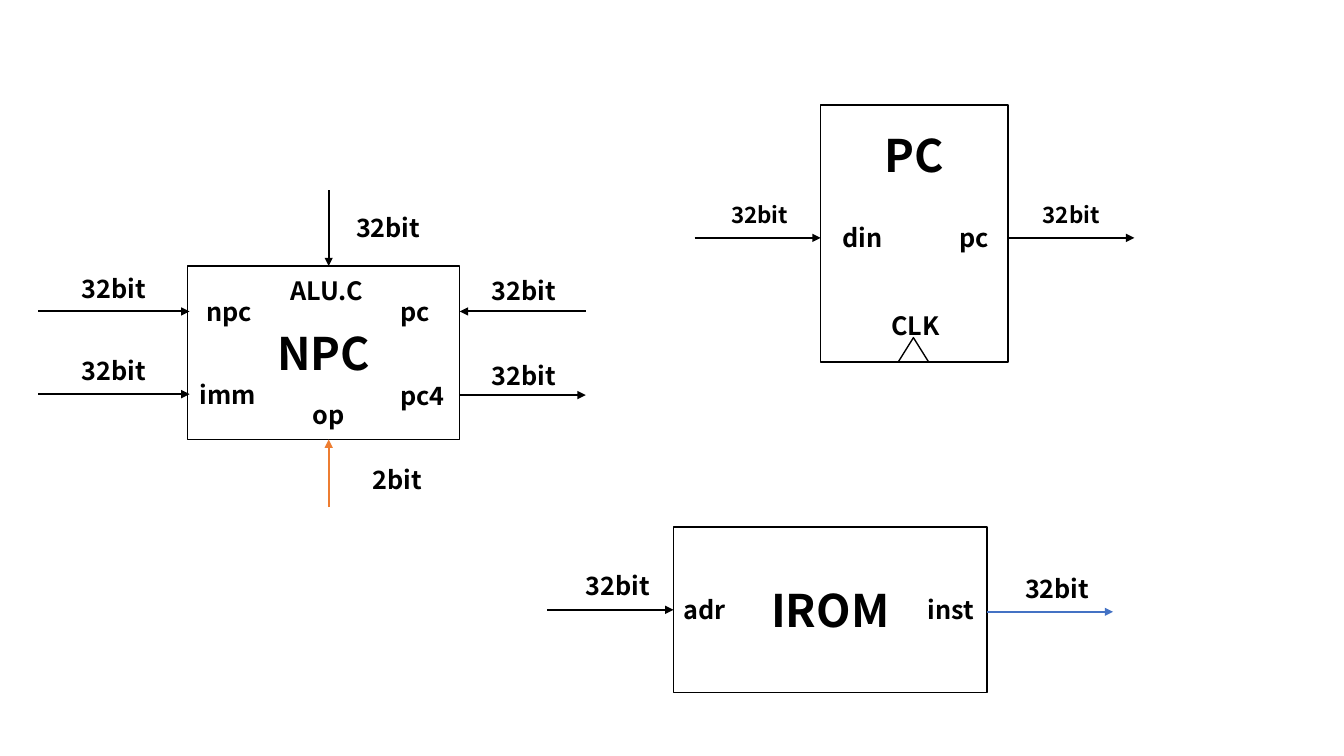
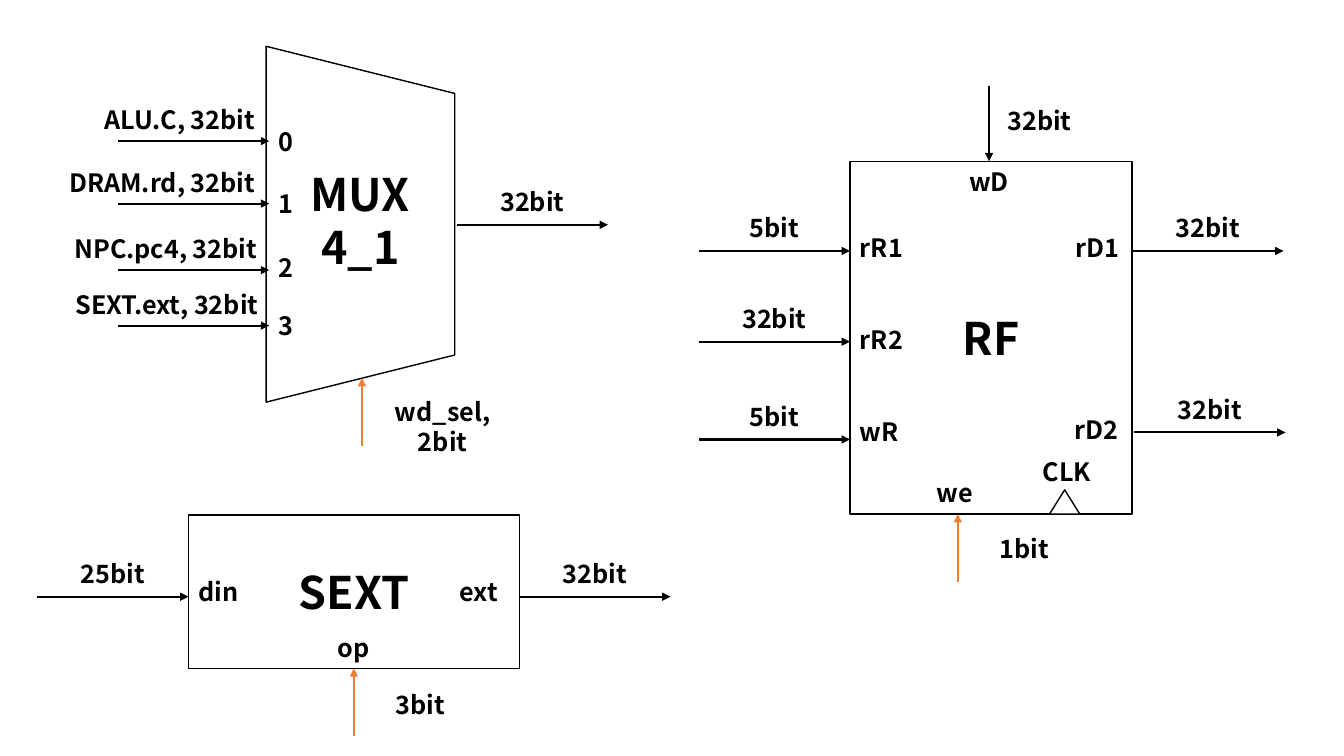
from dataclasses import dataclass

from pptx import Presentation
from pptx.dml.color import RGBColor
from pptx.enum.shapes import MSO_CONNECTOR as Link, MSO_SHAPE as Form
from pptx.enum.text import MSO_ANCHOR as Anchor, MSO_AUTO_SIZE as Fit, PP_ALIGN as Align
from pptx.oxml.ns import qn
from pptx.util import Inches, Pt

# Shared style
WIDTH, HEIGHT = 13.33, 7.5
FONT = "Noto Sans CJK SC"
COLORS = {"ink": "000000", "paper": "FFFFFF", "control": "ED7D31", "instruction": "4472C4"}
NAME_SIZE, LABEL_SIZE = 32, 18
LABEL_HEIGHT = 0.4
CLOCK_WIDTH, CLOCK_HEIGHT = 0.3, 0.24

# Outward direction and usual wire length of each side
OUTWARD = {"left": (-1, 0), "right": (1, 0), "top": (0, -1), "bottom": (0, 1)}
REACH = {"left": 1.5, "right": 1.5, "top": 0.75, "bottom": 0.67}


@dataclass
class Port:
    side: str
    along: float                    # distance along the side
    pin: str
    signal: str
    output: bool = False
    color: str = "ink"
    reach: float = 0                # 0 means the usual length
    tip: float = 0                  # how far the wire passes the frame
    pin_width: float = 0.69
    pin_shift: tuple = (0, 0)
    signal_width: float = 1.31
    signal_shift: tuple = (0, 0)
    signal_size: int = LABEL_SIZE
    flush: bool = False             # signal ends at the frame


@dataclass
class Block:
    name: tuple
    frame: tuple                    # left, top, width, height
    ports: list
    clock: tuple = ()               # distance along the bottom, label rise
    trapezoid: bool = False
    name_lift: float = 0


# Content: one list of blocks per slide
SLIDES = [
    [
        Block(("NPC",), (1.86, 2.64, 2.7, 1.72), [
            Port("left", 0.45, "npc", "32bit", tip=0.02, pin_shift=(0.07, 0)),
            Port("left", 1.27, "imm", "32bit", tip=0.02, pin_width=0.77),
            Port("right", 0.45, "pc", "32bit", reach=1.25, signal_shift=(0.01, 0.02)),
            Port("right", 1.28, "pc4", "32bit", True, reach=1.25, signal_shift=(0.01, 0.04)),
            Port("top", 1.4, "ALU.C", "32bit", pin_width=0.97, pin_shift=(-0.02, 0.04)),
            Port("bottom", 1.4, "op", "2bit", color="control", pin_shift=(0, -0.04),
                 signal_shift=(0.02, 0.04)),
        ]),
        Block(("PC",), (8.14, 1.04, 1.86, 2.55), [
            Port("left", 1.32, "din", "32bit", reach=1.25, pin_shift=(0.12, 0),
                 signal_size=16, signal_shift=(0.02, 0.02)),
            Port("right", 1.32, "pc", "32bit", True, reach=1.25, pin_width=0.55,
                 pin_shift=(-0.03, 0), signal_size=16, signal_shift=(0, 0.02)),
        ], clock=(0.92, 0.56), name_lift=0.78),
        Block(("IROM",), (6.68, 5.23, 3.11, 1.64), [
            Port("left", 0.82, "adr", "32bit", reach=1.25, signal_shift=(0.07, -0.01)),
            Port("right", 0.84, "inst", "32bit", True, "instruction", reach=1.25,
                 pin_shift=(0, -0.02), signal_shift=(0.07, 0)),
        ]),
    ],
    [
        Block(("SEXT",), (1.87, 5.11, 3.28, 1.52), [
            Port("left", 0.81, "din", "25bit", pin_shift=(0, -0.05)),
            Port("right", 0.81, "ext", "32bit", True, pin_shift=(0, -0.05)),
            Port("bottom", 1.64, "op", "3bit", color="control"),
        ]),
        Block(("MUX", "4_1"), (2.64, 0.46, 1.87, 3.53), [
            Port("left", 0.94, "0", "ALU.C, 32bit", tip=0.03, flush=True),
            Port("left", 1.56, "1", "DRAM.rd, 32bit", tip=0.03, flush=True),
            Port("left", 2.22, "2", "NPC.pc4, 32bit", tip=0.03, flush=True,
                 pin_shift=(0, -0.03), signal_shift=(0.02, 0)),
            Port("left", 2.77, "3", "SEXT.ext, 32bit", tip=0.03, flush=True,
                 signal_shift=(0.03, 0)),
            Port("right", 1.77, "", "32bit", True, tip=-0.02),
            Port("bottom", 0.95, "", "wd_sel, 2bit", color="control", tip=0.24,
                 signal_width=1.61, signal_shift=(0.14, -0.03)),
        ], trapezoid=True, name_lift=0.04),
        Block(("RF",), (8.43, 1.6, 2.8, 3.5), [
            Port("left", 0.89, "rR1", "5bit", pin_shift=(0, -0.03)),
            Port("left", 1.79, "rR2", "32bit", pin_shift=(0, -0.02)),
            Port("left", 2.76, "wR", "5bit", pin_shift=(0, -0.08)),
            Port("right", 0.89, "rD1", "32bit", True, pin_shift=(0.03, -0.03)),
            Port("right", 2.69, "rD2", "32bit", True, tip=-0.02, pin_shift=(0.02, -0.03)),
            Port("top", 1.38, "wD", "32bit", signal_shift=(-0.09, -0.02)),
            Port("bottom", 1.07, "we", "1bit", color="control", pin_shift=(-0.03, 0),
                 signal_shift=(0, -0.02)),
        ], clock=(2.13, 0.62)),
    ],
]


def rgb(name):
    return RGBColor.from_string(COLORS[name])


def write(frame, lines, size, align):
    frame.word_wrap = True
    for index, line in enumerate(lines):
        para = frame.paragraphs[0] if index == 0 else frame.add_paragraph()
        para.alignment = align
        span = para.add_run()
        span.text = line
        span.font.name, span.font.size, span.font.bold = FONT, Pt(size), True
        span.font.color.rgb = rgb("ink")


def add_label(group, left, top, width, text, size=LABEL_SIZE, align=Align.CENTER):
    box = group.shapes.add_textbox(Inches(left), Inches(top), Inches(width), Inches(LABEL_HEIGHT))
    box.text_frame.auto_size = Fit.SHAPE_TO_FIT_TEXT
    write(box.text_frame, [text], size, align)


def add_outline(group, form, left, top, width, height, fill=None):
    shape = group.shapes.add_shape(form, Inches(left), Inches(top), Inches(width), Inches(height))
    shape.shadow.inherit = False
    shape.line.color.rgb, shape.line.width = rgb("ink"), Pt(1)
    if fill:
        shape.fill.solid()
        shape.fill.fore_color.rgb = rgb(fill)
    else:
        shape.fill.background()
    return shape


def add_arrow(group, start, end, color):
    wire = group.shapes.add_connector(Link.STRAIGHT, *(Inches(v) for v in start + end))
    wire.line.color.rgb, wire.line.width = rgb(color), Pt(1.5)
    properties = wire._element.spPr
    line = properties.find(qn("a:ln"))
    line.append(line.makeelement(qn("a:tailEnd"), {"type": "triangle"}))
    properties.append(properties.makeelement(qn("a:effectLst"), {}))


def add_body(group, block):
    left, top, width, height = block.frame
    if block.trapezoid:
        # Drawn lying down, then turned a quarter about its centre
        turn = (height - width) / 2
        body = add_outline(group, Form.TRAPEZOID, left - turn, top + turn, height, width)
        body.rotation = 90
        holder = group.shapes.add_textbox(*(Inches(v) for v in block.frame))
    else:
        holder = add_outline(group, Form.RECTANGLE, *block.frame)
    frame = holder.text_frame
    frame.vertical_anchor = Anchor.MIDDLE
    frame.margin_bottom = Inches(0.05 + 2 * block.name_lift)
    write(frame, block.name, NAME_SIZE, Align.CENTER)


def add_clock(group, block):
    left, top, width, height = block.frame
    along, rise = block.clock
    center, bottom = left + along, top + height
    add_outline(group, Form.ISOSCELES_TRIANGLE, center - CLOCK_WIDTH / 2,
                bottom - CLOCK_HEIGHT, CLOCK_WIDTH, CLOCK_HEIGHT, "paper")
    add_label(group, center - 0.42, bottom - rise, 0.88, "CLK")


def add_port(group, block, port):
    left, top, width, height = block.frame
    out_x, out_y = OUTWARD[port.side]
    # Point where the side and the wire meet
    x = left + (port.along if out_y else width * (out_x > 0))
    y = top + (port.along if out_x else height * (out_y > 0))
    inner = (x - out_x * port.tip, y - out_y * port.tip)
    reach = port.reach or REACH[port.side]
    outer = (inner[0] + out_x * reach, inner[1] + out_y * reach)
    ends = (inner, outer) if port.output else (outer, inner)
    add_arrow(group, *ends, port.color)

    # Pin name inside the frame
    if port.pin:
        pin_left, pin_top = {
            "left": (x + 0.02 * (port.tip > 0), y - 0.2),
            "right": (x - port.pin_width, y - 0.2),
            "top": (x - port.pin_width / 2, y),
            "bottom": (x - port.pin_width / 2, y - 0.41),
        }[port.side]
        add_label(group, pin_left + port.pin_shift[0], pin_top + port.pin_shift[1],
                  port.pin_width, port.pin, align=Align.LEFT if out_x else Align.CENTER)

    # Signal width beside the wire
    shift_x, shift_y = port.signal_shift
    if port.flush:
        full = 2.62
        add_label(group, x - full - 0.01 + shift_x, y - 0.41 + shift_y, full, port.signal,
                  align=Align.RIGHT)
        return
    center, signal_top = {
        "left": ((inner[0] + outer[0]) / 2, y - 0.43),
        "right": ((inner[0] + outer[0]) / 2, y - 0.43),
        "top": (x + 0.59, inner[1] - 0.58),
        "bottom": (x + 0.66, inner[1] + 0.16),
    }[port.side]
    add_label(group, center - port.signal_width / 2 + shift_x, signal_top + shift_y,
              port.signal_width, port.signal, port.signal_size)


# Build the deck
deck = Presentation()
deck.slide_width, deck.slide_height = Inches(WIDTH), Inches(HEIGHT)
for blocks in SLIDES:
    page = deck.slides.add_slide(deck.slide_layouts[6])
    for block in blocks:
        group = page.shapes.add_group_shape()
        add_body(group, block)
        if block.clock:
            add_clock(group, block)
        for port in block.ports:
            add_port(group, block, port)
deck.save("out.pptx")
